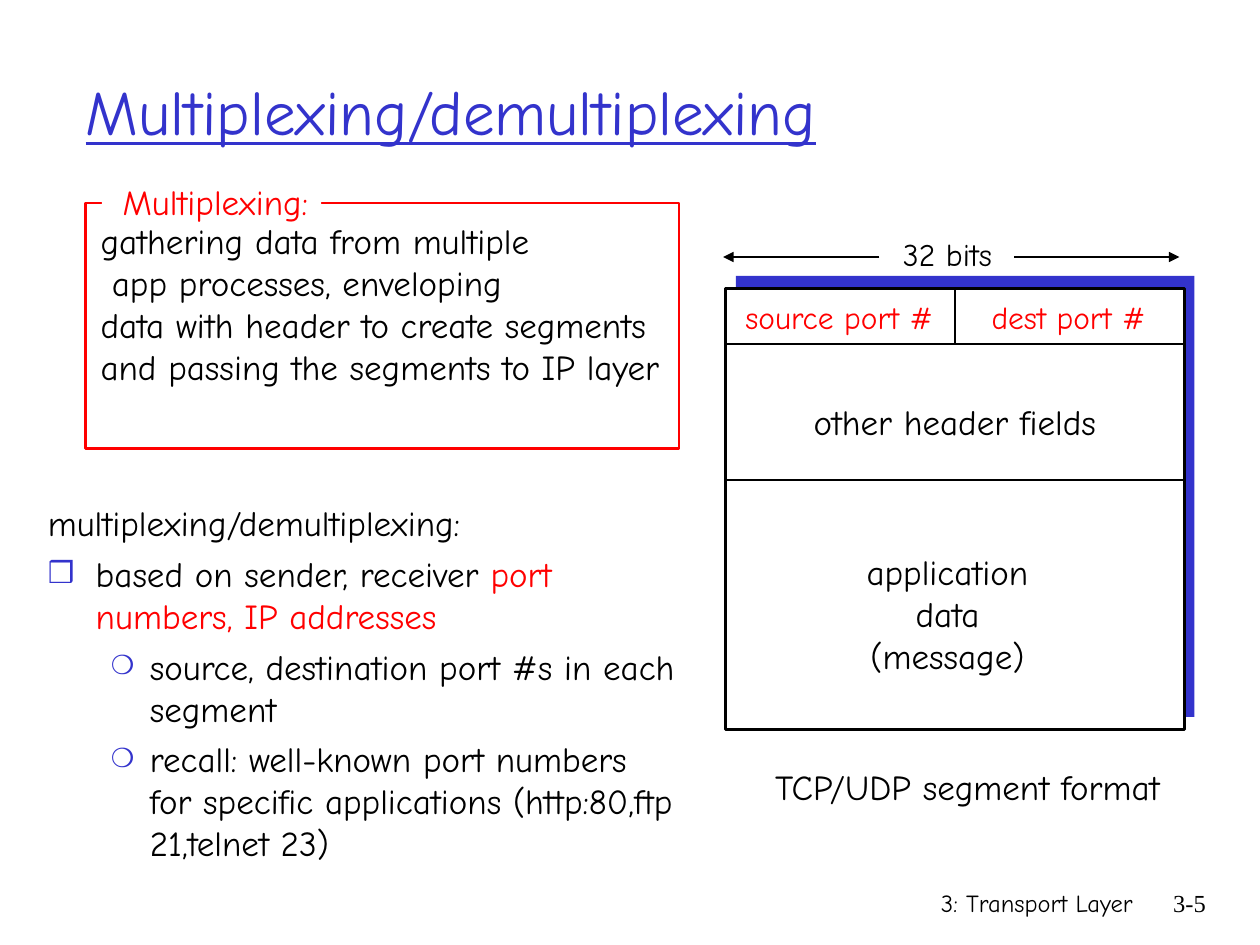
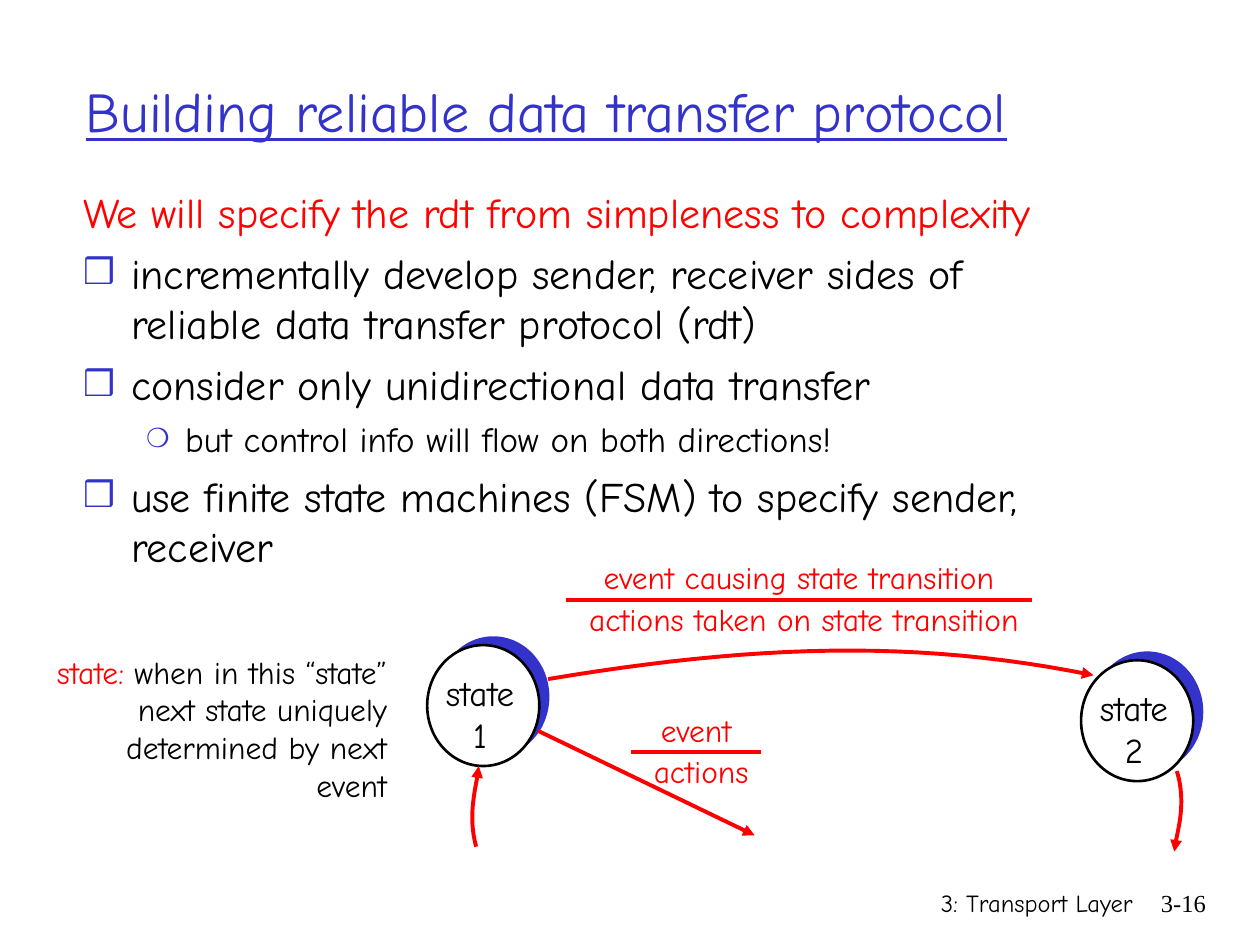
import pptx
import pptx.dml.color
import pptx.enum.shapes
import pptx.enum.text
import pptx.oxml
import pptx.oxml.ns
import pptx.util

COLORS = {"blue": "3333CC", "red": "FF0000", "black": "000000", "white": "FFFFFF"}
FONT = "Comic Neue"
NUMBER_FONT = "Times New Roman"
COLUMNS, ROWS = 100, 75  # grid on a 10 by 7.5 inch slide
CELL = pptx.util.Inches(0.1)
SHAPE = pptx.enum.shapes.MSO_SHAPE
ALIGN = pptx.enum.text.PP_ALIGN
AUTO_SIZE = pptx.enum.text.MSO_AUTO_SIZE
ANCHOR = pptx.enum.text.MSO_ANCHOR

# Bullet styles: margin and hanging indent in columns, character, size in percent
STYLES = {
    "hanging": (3.8, 3.8, None, None),
    "square": (3.8, 3.8, "❒", 85),
    "circle": (8.1, 3.1, "❍", 75),
}


def grid(*cells):
    return [round(cell * CELL) for cell in cells]


def color(name):
    return pptx.dml.color.RGBColor.from_string(COLORS[name])


def add_element(parent, tag, **attributes):
    element = pptx.oxml.parse_xml(f"<a:{tag} {pptx.oxml.ns.nsdecls('a')}/>")
    for name, value in attributes.items():
        element.set(name, str(value))
    parent.append(element)
    return element


# Text

def format_run(run, size, color_name, font=FONT, underline=None):
    run.font.size = pptx.util.Pt(size)
    run.font.name = font
    run.font.underline = underline
    run.font.color.rgb = color(color_name)


def set_indent(paragraph, style):
    margin, hanging, bullet, percent = STYLES[style]
    properties = paragraph._p.get_or_add_pPr()
    left, first = grid(margin, -hanging)
    properties.set("marL", str(left))
    properties.set("indent", str(first))
    if bullet:
        bullet_color = add_element(properties, "buClr")
        add_element(bullet_color, "srgbClr", val=COLORS["blue"])
        add_element(properties, "buSzPct", val=percent * 1000)
        add_element(properties, "buChar", char=bullet)
    else:
        add_element(properties, "buNone")


def add_text(shapes, box, lines, size, color_name="black", align=ALIGN.CENTER,
             wrap=False, font=FONT):
    frame = shapes.add_textbox(*grid(*box)).text_frame
    frame.word_wrap = wrap
    frame.auto_size = AUTO_SIZE.NONE if wrap else AUTO_SIZE.SHAPE_TO_FIT_TEXT
    frame.text = lines
    for paragraph in frame.paragraphs:
        paragraph.alignment = align
        for run in paragraph.runs:
            format_run(run, size, color_name, font)
    return frame


def add_runs(paragraph, runs, size):
    for text, color_name in runs:
        run = paragraph.add_run()
        run.text = text
        format_run(run, size, color_name)


def place(shape, box):
    shape.left, shape.top, shape.width, shape.height = grid(*box)


def fill_body(slide, box, items):
    """Each item is style, level, size, space before and coloured runs."""
    body = slide.placeholders[1]
    place(body, box)
    frame = body.text_frame
    frame.auto_size = AUTO_SIZE.NONE
    for index, (style, level, size, space, runs) in enumerate(items):
        paragraph = frame.add_paragraph() if index else frame.paragraphs[0]
        paragraph.level = level
        set_indent(paragraph, style)
        paragraph.space_before = pptx.util.Pt(space if index else 0)
        add_runs(paragraph, runs, size)


# Shapes and lines

def add_block(shapes, kind, box, fill=None, line=None):
    shape = shapes.add_shape(kind, *grid(*box))
    shape.shadow.inherit = False
    if fill:
        shape.fill.solid()
        shape.fill.fore_color.rgb = color(fill)
    else:
        shape.fill.background()
    if line:
        shape.line.color.rgb = color(line)
        shape.line.width = pptx.util.Pt(1.5)
    else:
        shape.line.fill.background()
    return shape


def add_shadowed(shapes, kind, left, top, width, height, shift):
    """White outlined shape over a blue one shifted right and up."""
    right, up = shift
    add_block(shapes, kind, (left + right, top - up, width, height), "blue")
    return add_block(shapes, kind, (left, top, width, height), "white", "black")


def style_line(shape, color_name, width, arrow):
    shape.line.color.rgb = color(color_name)
    shape.line.width = pptx.util.Pt(width)
    if arrow:
        add_element(shape.line._get_or_add_ln(), "tailEnd", type="triangle")


def add_line(shapes, start, end, color_name="black", width=1.5, arrow=False):
    connector = shapes.add_connector(
        pptx.enum.shapes.MSO_CONNECTOR.STRAIGHT, *grid(*start, *end))
    style_line(connector, color_name, width, arrow)
    add_element(connector._element.spPr, "effectLst")
    return connector


def add_curve(shapes, *controls, steps=24):
    """Red arrow along a cubic curve through four control points."""
    points = []
    for step in range(steps + 1):
        t = step / steps
        weights = ((1 - t) ** 3, 3 * t * (1 - t) ** 2, 3 * t * t * (1 - t), t ** 3)
        points.append(grid(*(sum(weight * point[axis]
                                 for weight, point in zip(weights, controls))
                             for axis in (0, 1))))
    builder = shapes.build_freeform(*points[0])
    builder.add_line_segments(points[1:], close=False)
    curve = builder.convert_to_shape()
    curve.shadow.inherit = False
    curve.fill.background()
    style_line(curve, "red", 2.25, True)


# Parts of the state machine

def add_state(slide, left, top, number):
    shapes = slide.shapes.add_group_shape().shapes
    add_shadowed(shapes, SHAPE.OVAL, left, top, 8.9, 9.6, (0.8, 0.7))
    add_text(shapes, (left - 0.8, top + 1.6, 10, 7.7), f"state\n{number}", 20)


def add_transition_label(slide, left, top, width, event, actions):
    """Event above a red rule, actions below it."""
    shapes = slide.shapes.add_group_shape().shapes
    add_text(shapes, (left, top - 3.8, width, 4), event, 18, "red")
    add_text(shapes, (left + 0.4, top - 0.5, width, 4), actions, 18, "red")
    add_line(shapes, (left, top), (left + width, top), "red", 2.25)


# Slides

def new_slide(presentation, title, title_size, number):
    slide = presentation.slides.add_slide(presentation.slide_layouts[1])
    place(slide.shapes.title, (5.8, 2.5, 85, 12.5))
    frame = slide.shapes.title.text_frame
    frame.text = title
    frame.vertical_anchor = ANCHOR.MIDDLE
    frame.auto_size = AUTO_SIZE.NONE
    frame.paragraphs[0].alignment = ALIGN.LEFT
    format_run(frame.paragraphs[0].runs[0], title_size, "blue", underline=True)
    add_text(slide.shapes, (59.2, 70, 31.7, 5), "3: Transport Layer", 14,
             align=ALIGN.RIGHT, wrap=True)
    add_text(slide.shapes, (89.3, 70, 7.4, 5), number, 14,
             align=ALIGN.RIGHT, wrap=True, font=NUMBER_FONT)
    return slide


def build_multiplexing(presentation):
    slide = new_slide(presentation, "Multiplexing/demultiplexing", 36, "3-5")
    shapes = slide.shapes
    fill_body(slide, (2.8, 39.3, 52, 30.5), [
        ("hanging", 0, 20, 5, [("multiplexing/demultiplexing:", "black")]),
        ("square", 0, 20, 5, [("based on sender, receiver ", "black"),
                              ("port numbers, IP addresses", "red")]),
        ("circle", 1, 20, 5,
         [("source, destination port #s in each segment", "black")]),
        ("circle", 1, 20, 5,
         [("recall: well-known port numbers for specific applications "
           "(http:80,ftp 21,telnet 23)", "black")]),
    ])

    # Definition box with its heading set into the top edge
    definition = add_text(
        shapes, (7, 16.9, 48.6, 14.4),
        "gathering data from multiple\napp processes, enveloping\n"
        "data with header to create segments and passing the segments to IP layer",
        20, align=ALIGN.LEFT, wrap=True)
    indented = definition.paragraphs[1]._p.get_or_add_pPr()
    indented.set("marL", str(grid(0.9)[0]))
    add_block(shapes, SHAPE.RECTANGLE, (6.8, 16.1, 47.1, 19.5), line="red")
    heading = shapes.add_group_shape().shapes
    add_block(heading, SHAPE.RECTANGLE, (8.1, 14.2, 17.4, 3.6), "white")
    add_text(heading, (7.1, 13.8, 20, 4.4), "Multiplexing:", 20, "red")

    # Segment diagram
    left, top, width, height = 57.6, 22.9, 36.4, 35
    right = left + width
    ports_bottom, header_bottom = 27.3, 38.1
    segment = add_shadowed(shapes, SHAPE.RECTANGLE, left, top, width, height, (0.8, 1))
    for row in (ports_bottom, header_bottom):
        add_line(shapes, (left, row), (right, row))
    middle = left + width / 2
    add_line(shapes, (middle, top), (middle, ports_bottom)).begin_connect(segment, 0)
    for box, text, size, color_name in (
            ((57.6, 23.2, 18, 4), "source port #", 18, "red"),
            ((76.8, 23.2, 16, 4), "dest port #", 18, "red"),
            ((69.2, 18.2, 12, 4), "32 bits", 18, "black"),
            ((61.8, 31.3, 28, 4.4), "other header fields", 20, "black"),
            ((65.2, 43.2, 20, 11), "application\ndata\n(message)", 20, "black"),
            ((58.8, 60.3, 36, 4.4), "TCP/UDP segment format", 20, "black")):
        add_text(shapes, box, text, size, color_name)
    for start, end in ((80.5, 93.6), (69.8, 57.4)):
        add_line(shapes, (start, 20.4), (end, 20.4), arrow=True)


def build_state_machine(presentation):
    slide = new_slide(presentation, "Building reliable data transfer protocol",
                      32, "3-16")
    shapes = slide.shapes
    fill_body(slide, (5.6, 14.3, 79.4, 36.7), [
        ("hanging", 0, 24, 6,
         [("We will specify the rdt from simpleness to complexity", "red")]),
        ("square", 0, 24, 6,
         [("incrementally develop sender, receiver sides of reliable data "
           "transfer protocol (rdt)", "black")]),
        ("square", 0, 24, 6,
         [("consider only unidirectional data transfer", "black")]),
        ("circle", 1, 20, 5,
         [("but control info will flow on both directions!", "black")]),
        ("square", 0, 24, 6,
         [("use finite state machines (FSM) to specify sender, receiver", "black")]),
    ])

    # States and their transitions
    add_state(slide, 33.9, 51.2, 1)
    add_state(slide, 85.8, 52.4, 2)
    add_curve(shapes, (43.5, 53.9), (59.7, 51.2), (72.6, 50.7), (86.8, 53.6))
    add_curve(shapes, (37.8, 67.2), (37, 64.4), (38, 61.8), (38, 60.8))
    add_curve(shapes, (93.4, 61.2), (94.3, 64.1), (93.2, 66.6), (93.2, 67.6))
    add_line(shapes, (42.7, 58), (59.9, 66.3), "red", 2.25, arrow=True)
    add_transition_label(slide, 44.9, 47.6, 37,
                         "event causing state transition",
                         "actions taken on state transition")
    add_transition_label(slide, 50.1, 59.7, 10.3, "event", "actions")

    # Explanation of a state
    note = add_text(shapes, (1.4, 51.3, 30.3, 13.5), "", 18, wrap=True)
    paragraph = note.paragraphs[0]
    paragraph.alignment = ALIGN.RIGHT
    set_indent(paragraph, "hanging")
    add_runs(paragraph, [
        ("state:", "red"),
        (" when in this “state” next state uniquely determined by next event",
         "black")], 18)


def main():
    presentation = pptx.Presentation()
    presentation.slide_width, presentation.slide_height = grid(COLUMNS, ROWS)
    build_multiplexing(presentation)
    build_state_machine(presentation)
    presentation.save("out.pptx")


if __name__ == "__main__":
    main()
